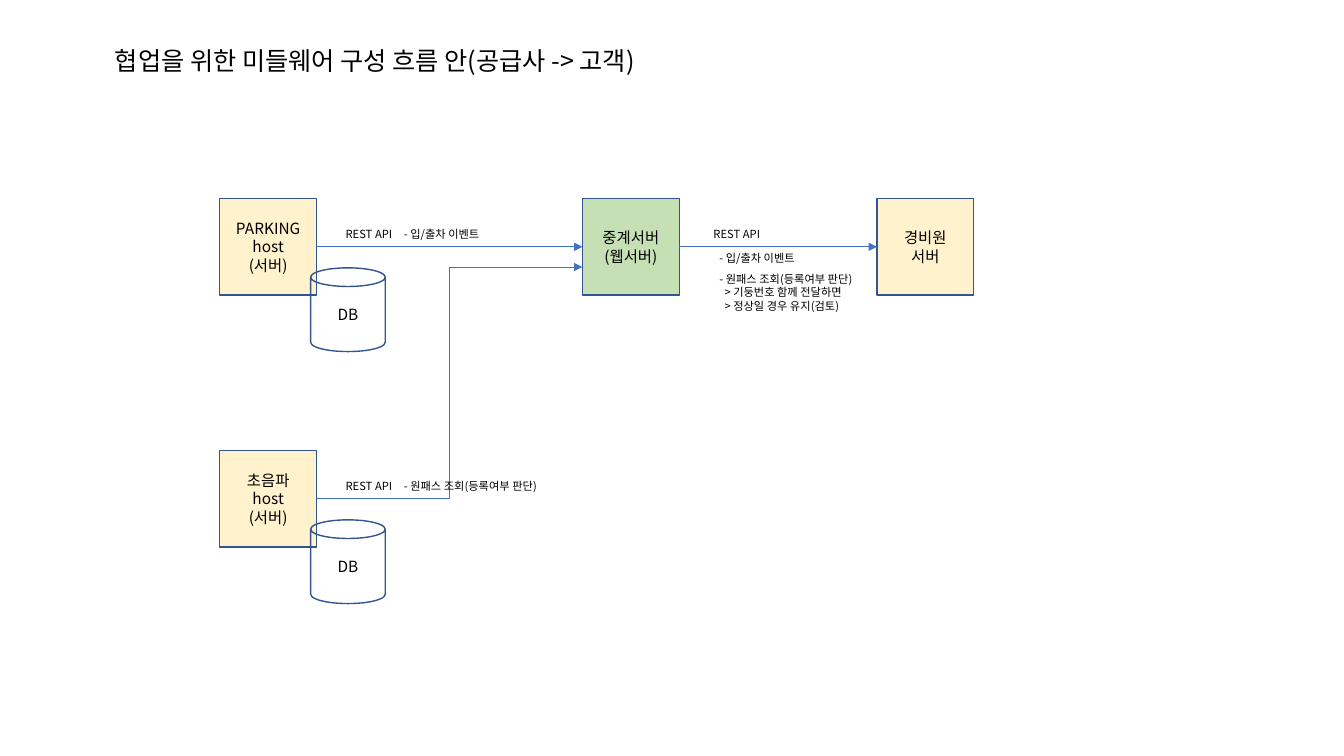
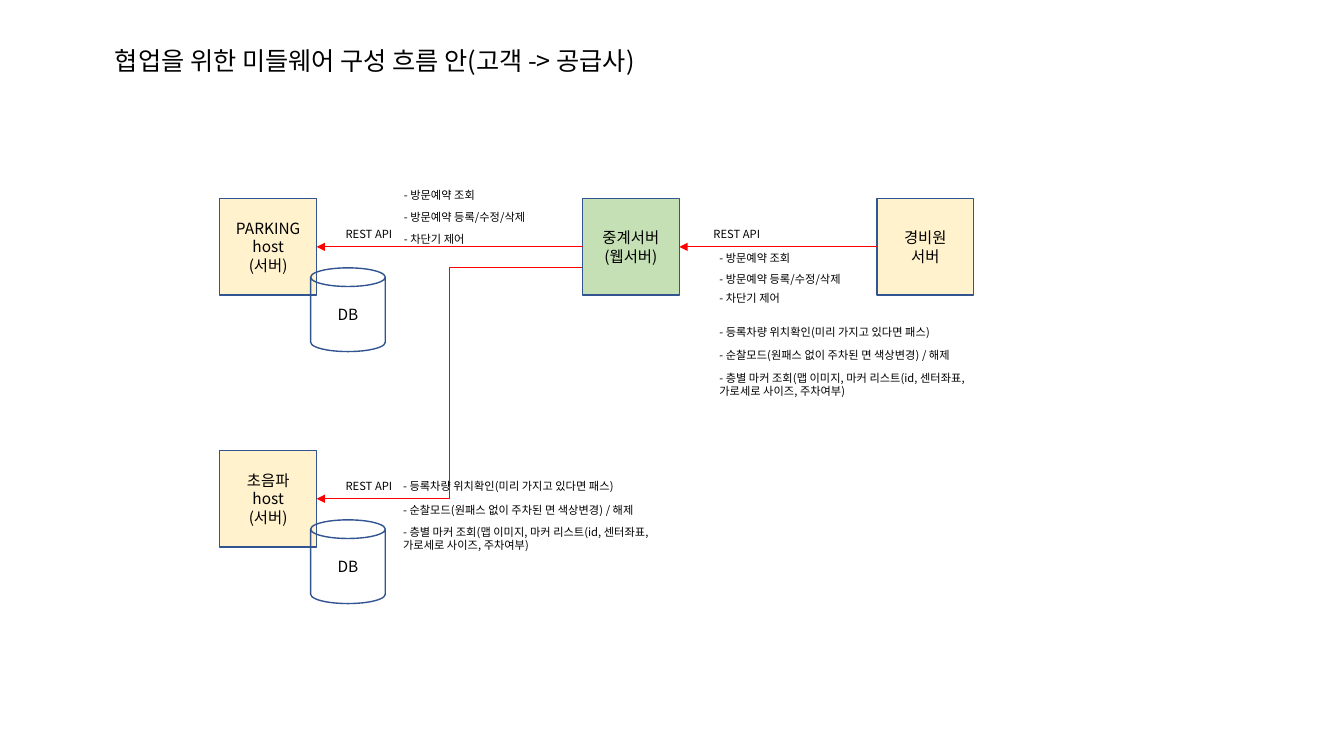
from dataclasses import dataclass

from lxml import etree
from pptx import Presentation
from pptx.dml.color import RGBColor
from pptx.enum.shapes import MSO_CONNECTOR, MSO_SHAPE
from pptx.enum.text import MSO_ANCHOR, MSO_AUTO_SIZE, PP_ALIGN
from pptx.oxml.ns import qn
from pptx.util import Cm, Pt

RECT, CAN = MSO_SHAPE.RECTANGLE, MSO_SHAPE.CAN
LINE, ELBOW = MSO_CONNECTOR.STRAIGHT, MSO_CONNECTOR.ELBOW
LEFT, CENTER = PP_ALIGN.LEFT, PP_ALIGN.CENTER
TOP, MIDDLE = MSO_ANCHOR.TOP, MSO_ANCHOR.MIDDLE
FIXED, GROW = MSO_AUTO_SIZE.NONE, MSO_AUTO_SIZE.SHAPE_TO_FIT_TEXT

FONT = "Noto Sans CJK KR"
COLORS = {
    "text": "000000",
    "edge": "325491",
    "host": "FFF2CC",
    "relay": "C5E0B4",
    "send": "4472C4",
    "reply": "FF0000",
}

SIDE = 2.44
COL_HOST, COL_RELAY, COL_GUARD = 5.54, 14.68, 22.1
ROW_TOP, ROW_LOW = 5.0, 11.35
API_GAP, NOTE_GAP = 2.92, 4.39
API_X, NOTE_X = COL_HOST + API_GAP, COL_HOST + NOTE_GAP
GUARD_API, GUARD_X = 17.73, 17.88
LABEL_DY = 0.61
TOP_Y, LOW_Y = ROW_TOP + LABEL_DY, ROW_LOW + LABEL_DY
SHORT, MID, LONG, WIDE = 3.38, 4.6, 6.65, 7.16
INDENT = 0.13


@dataclass(frozen=True)
class Node:
    text: str
    x: float
    y: float
    w: float = SIDE
    h: float = SIDE
    kind: int = RECT
    fill: str | None = "host"


@dataclass(frozen=True)
class Note:
    text: str
    x: float
    y: float
    w: float
    h: float = 0.61


@dataclass(frozen=True)
class Page:
    title: str
    color: str
    end: str
    notes: list[Note]


def store(y: float) -> Node:
    return Node("DB", COL_HOST + 2.29, y + 1.75, 1.88, 2.11, CAN, None)


HOST = Node("PARKING\nhost\n(서버)", COL_HOST, ROW_TOP)
SONIC = Node("초음파\nhost\n(서버)", COL_HOST, ROW_LOW)
RELAY = Node("중계서버(웹서버)", COL_RELAY, ROW_TOP, fill="relay")
GUARD = Node("경비원\n서버", COL_GUARD, ROW_TOP)
NODES = [HOST, SONIC, store(ROW_TOP), store(ROW_LOW), RELAY, GUARD]

APIS = [
    Note("REST API", x, y, 1.88)
    for x, y in ((API_X, TOP_Y), (API_X, LOW_Y), (GUARD_API, TOP_Y))
]

EVENT = "- 입/출차 이벤트"
PASS = "- 원패스 조회(등록여부 판단)"
VISIT = [
    ("- 방문예약 조회", SHORT, 0.61),
    ("- 방문예약 등록/수정/삭제", MID, 0.61),
    ("- 차단기 제어", MID, 0.61),
]
PARK = [
    ("- 등록차량 위치확인(미리 가지고 있다면 패스)", LONG, 0.61),
    ("- 순찰모드(원패스 없이 주차된 면 색상변경) / 해제", WIDE, 0.61),
    ("- 층별 마커 조회(맵 이미지, 마커 리스트(id, 센터좌표, "
     "가로세로 사이즈, 주차여부)", WIDE, 0.94),
]


def stack(items: list[tuple[str, float, float]], x: float, tops: list[float]) -> list[Note]:
    return [Note(text, x, y, w, h) for (text, w, h), y in zip(items, tops)]


PAGES = [
    Page(
        "협업을 위한 미들웨어 구성 흐름 안(공급사 -> 고객)", "send", "tailEnd",
        [
            Note(EVENT, NOTE_X, TOP_Y, SHORT),
            Note(PASS, NOTE_X, LOW_Y, MID),
            Note(EVENT, GUARD_X, 6.2, SHORT),
            Note(f"{PASS}\n> 기둥번호 함께 전달하면\n> 정상일 경우 유지(검토)",
                 GUARD_X, 6.73, MID, 1.27),
        ],
    ),
    Page(
        "협업을 위한 미들웨어 구성 흐름 안(고객 -> 공급사)", "reply", "headEnd",
        stack(VISIT, NOTE_X, [4.62, 5.18, 5.74])
        + stack(VISIT, GUARD_X, [6.2, 6.73, 7.21])
        + stack(PARK, GUARD_X, [8.08, 8.66, 9.22])
        + stack(PARK, NOTE_X - 0.02, [LOW_Y, 12.57, 13.11]),
    ),
]


def rgb(name: str) -> RGBColor:
    return RGBColor.from_string(COLORS[name])


def style(frame, size: float, align=LEFT, anchor=TOP, fit=FIXED) -> None:
    frame.word_wrap = True
    frame.auto_size = fit
    frame.vertical_anchor = anchor
    for para in frame.paragraphs:
        para.alignment = align
        for run in para.runs:
            run.font.size = Pt(size)
            run.font.name = FONT
            run.font.color.rgb = rgb("text")
            props = run.font._element
            etree.SubElement(props, qn("a:ea")).set("typeface", FONT)


def add_title(slide, text: str) -> None:
    title = slide.shapes.title
    title.left, title.top = Cm(2.64), Cm(1.02)
    title.width, title.height = Cm(15.39), Cm(1.02)
    title.text_frame.text = text
    style(title.text_frame, 18)


def add_node(slide, node: Node):
    shape = slide.shapes.add_shape(
        node.kind, Cm(node.x), Cm(node.y), Cm(node.w), Cm(node.h))
    shape.shadow.inherit = False
    if node.fill:
        shape.fill.solid()
        shape.fill.fore_color.rgb = rgb(node.fill)
    else:
        shape.fill.background()
    shape.line.color.rgb = rgb("edge")
    shape.line.width = Pt(1)
    shape.text_frame.text = node.text
    style(shape.text_frame, 11, CENTER, MIDDLE)
    return shape


def add_note(slide, note: Note) -> None:
    box = slide.shapes.add_textbox(Cm(note.x), Cm(note.y), Cm(note.w), Cm(note.h))
    box.text_frame.text = note.text
    style(box.text_frame, 8, fit=GROW)
    for para in box.text_frame.paragraphs:
        if para.text.startswith(">"):
            para._p.get_or_add_pPr().set("marL", str(Cm(INDENT)))


def add_link(slide, kind, page: Page, start: tuple[float, float], stop: tuple[float, float]):
    link = slide.shapes.add_connector(kind, *(Cm(v) for v in start + stop))
    link.line.color.rgb = rgb(page.color)
    link.line.width = Pt(0.5)
    etree.SubElement(link.line._get_or_add_ln(), qn(f"a:{page.end}")).set("type", "triangle")
    etree.SubElement(link._element.spPr, qn("a:effectLst"))
    return link


def add_flow(slide, page: Page, shapes: dict[Node, object]) -> None:
    mid = SIDE / 2
    for one, two in ((HOST, RELAY), (RELAY, GUARD)):
        link = add_link(slide, LINE, page, (one.x + SIDE, one.y + mid), (two.x, two.y + mid))
        link.begin_connect(shapes[one], 3)
        link.end_connect(shapes[two], 1)
    add_link(slide, ELBOW, page,
             (SONIC.x + SIDE, SONIC.y + mid), (RELAY.x, RELAY.y + mid + 0.51))


def main() -> None:
    deck = Presentation()
    deck.slide_width, deck.slide_height = Cm(33.87), Cm(19.05)
    for page in PAGES:
        slide = deck.slides.add_slide(deck.slide_layouts[5])
        add_title(slide, page.title)
        shapes = {node: add_node(slide, node) for node in NODES}
        add_flow(slide, page, shapes)
        for note in APIS + page.notes:
            add_note(slide, note)
    deck.save("out.pptx")


if __name__ == "__main__":
    main()
